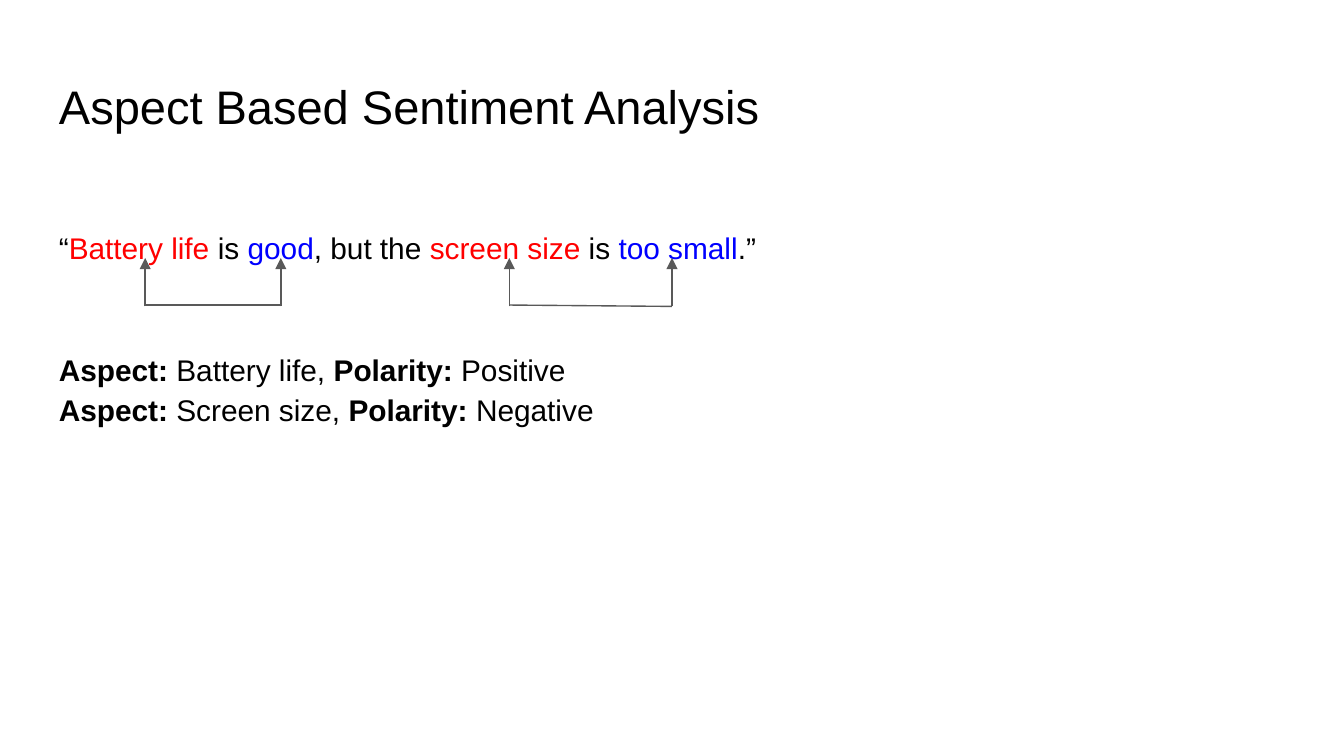
from pptx import Presentation
from pptx.dml.color import RGBColor
from pptx.enum.shapes import MSO_CONNECTOR
from pptx.oxml.ns import qn
from pptx.util import Pt
from lxml import etree

LINE = MSO_CONNECTOR.STRAIGHT
PX = 9144  # 100 px to the inch
WIDTH = 1000 * PX
FONT = "Arial"
BLACK, RED, BLUE, GREY = "000000", "FF0000", "0000FF", "595959"

# Content: each run is (text, colour, bold)
TITLE = [("Aspect Based Sentiment Analysis", BLACK, False)]
QUOTE = [
    ("“", BLACK, False),
    ("Battery life", RED, False),
    (" is ", BLACK, False),
    ("good", BLUE, False),
    (", but the ", BLACK, False),
    ("screen size", RED, False),
    (" is ", BLACK, False),
    ("too small", BLUE, False),
    (".”", BLACK, False),
]
# Points before, aspect, polarity
FINDINGS = [(46, "Battery life", "Positive"), (2.5, "Screen size", "Negative")]
# x of aspect and of opinion, y of the bar at each end
LINKS = [(108, 209, 227, 227), (379, 500, 227, 228)]
TIP, BASE = 192, 228


def rgb(code):
    return RGBColor.from_string(code)


def add_text(slide, place, top, size, paras):
    """Each paragraph is (points before it, runs)."""
    box = slide.shapes.add_textbox(*[n * PX for n in place])
    frame = box.text_frame
    frame.word_wrap = True
    frame.margin_top = top * PX
    frame.margin_left = frame.margin_right = frame.margin_bottom = 10 * PX
    for i, (gap, runs) in enumerate(paras):
        para = frame.paragraphs[0] if i == 0 else frame.add_paragraph()
        para.space_before = Pt(gap)
        for text, color, bold in runs:
            run = para.add_run()
            run.text = text
            run.font.name = FONT
            run.font.size = Pt(size)
            run.font.bold = bold
            run.font.color.rgb = rgb(color)


def add_line(slide, x1, y1, x2, y2, arrow=False):
    line = slide.shapes.add_connector(LINE, x1 * PX, y1 * PX, x2 * PX, y2 * PX)
    line.line.color.rgb = rgb(GREY)
    line.line.width = Pt(0.75)
    props = line._element.spPr
    if arrow:
        etree.SubElement(props.get_or_add_ln(), qn("a:tailEnd"), type="triangle")
    etree.SubElement(props, qn("a:effectLst"))


deck = Presentation()
deck.slide_width, deck.slide_height = WIDTH, WIDTH * 9 // 16
slide = deck.slides.add_slide(deck.slide_layouts[6])

# Title
add_text(slide, (34, 49, 932, 63), 9, 25.2, [(0, TITLE)])

# Sentence and findings
paras = [(0, QUOTE)]
for gap, aspect, mood in FINDINGS:
    paras.append((gap, [
        ("Aspect: ", BLACK, True),
        (aspect + ", ", BLACK, False),
        ("Polarity:", BLACK, True),
        (" " + mood, BLACK, False),
    ]))
add_text(slide, (34, 126, 917, 414), 45, 16, paras)

# Arrows up to each aspect and opinion
for left, right, _, _ in LINKS:
    for x in (left, right):
        add_line(slide, x, BASE, x, TIP, arrow=True)

# Bars that tie each pair
for left, right, start, end in LINKS:
    add_line(slide, left, start, right, end)

deck.save("out.pptx")
